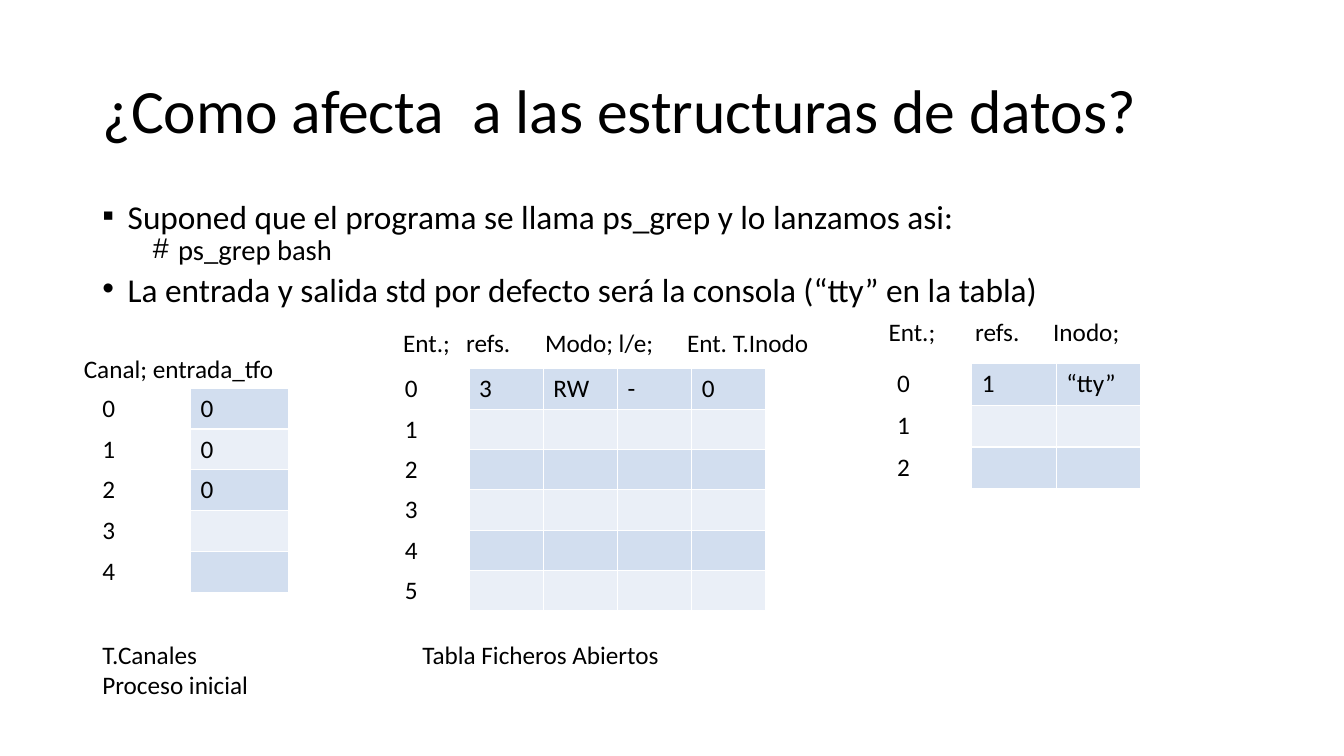
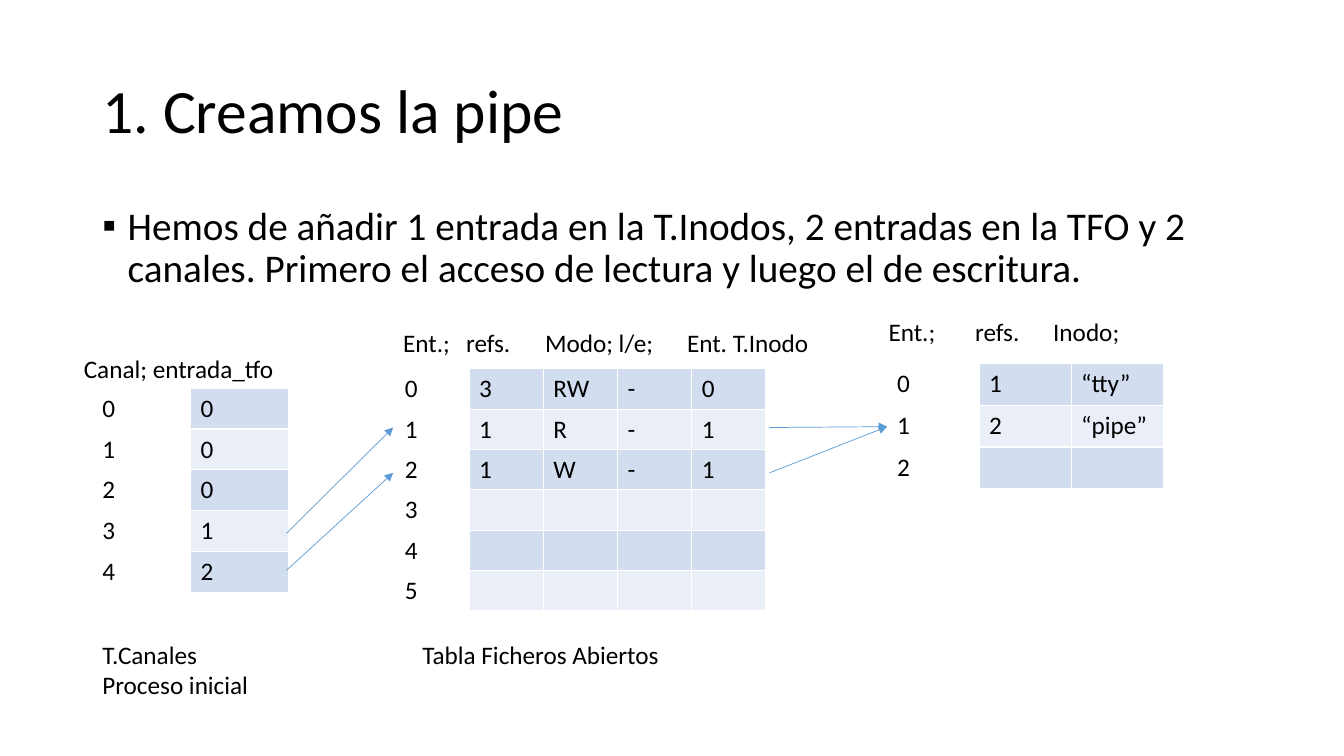
from lxml.etree import SubElement
from pptx import Presentation
from pptx.dml.color import RGBColor
from pptx.enum.shapes import MSO_CONNECTOR
from pptx.enum.text import MSO_ANCHOR, MSO_AUTO_SIZE, PP_ALIGN
from pptx.oxml.ns import qn
from pptx.util import Inches, Pt

GRID_COLUMNS, GRID_ROWS = 160, 90


def color(hex_string):
    """Turn a hex string into a colour."""
    return RGBColor.from_string(hex_string)


class Deck:
    """Holds the shared style and the current slide."""

    font = "Calibri"
    ink, arrow_ink = "000000", "5B9BD5"
    bands = "D2DEEF", "EAEFF7"

    def __init__(self):
        """Start an empty wide presentation."""
        self.presentation = Presentation()
        self.presentation.slide_width = Inches(13.33)
        self.presentation.slide_height = Inches(7.5)
        self.slide = None

    def across(self, columns):
        """Convert grid columns to a length."""
        return round(self.presentation.slide_width * columns / GRID_COLUMNS)

    def down(self, rows):
        """Convert grid rows to a length."""
        return round(self.presentation.slide_height * rows / GRID_ROWS)

    def box(self, left, top, width, height):
        """Convert a grid rectangle to lengths."""
        return self.across(left), self.down(top), self.across(width), self.down(height)

    def place(self, shape, *area):
        """Move a placeholder to a grid rectangle."""
        shape.left, shape.top, shape.width, shape.height = self.box(*area)

    def format(self, paragraph, size):
        """Give every run of a paragraph the shared font."""
        for run in paragraph.runs:
            run.font.name = self.font
            run.font.size = Pt(size)
            run.font.color.rgb = color(self.ink)

    def add_slide(self, title):
        """Open a slide and fill its title."""
        self.slide = self.presentation.slides.add_slide(self.presentation.slide_layouts[1])
        shape = self.slide.shapes.title
        self.place(shape, 11, 4.8, 138, 17.4)
        frame = shape.text_frame
        frame.text = title
        frame.auto_size = MSO_AUTO_SIZE.NONE
        frame.vertical_anchor = MSO_ANCHOR.MIDDLE
        paragraph = frame.paragraphs[0]
        paragraph.alignment = PP_ALIGN.LEFT
        paragraph.line_spacing = 0.9
        self.format(paragraph, 44)

    def add_body(self, items, line_spacing):
        """Fill the body with (bullet, level, size, text) items."""
        shape = self.slide.placeholders[1]
        self.place(shape, 11, 24, 138, 13.7)
        frame = shape.text_frame
        frame.text = "\n".join(item[-1] for item in items)
        frame.auto_size = MSO_AUTO_SIZE.NONE
        for paragraph, (bullet, level, size, _) in zip(frame.paragraphs, items):
            paragraph.level = level
            paragraph.line_spacing = line_spacing
            paragraph.space_before = Pt(5 if level else 10)
            self.format(paragraph, size)
            properties = paragraph._p.get_or_add_pPr()
            properties.set("marL", str(Inches(0.25 + 0.5 * level)))
            properties.set("indent", str(Inches(-0.25)))
            SubElement(properties, qn("a:buFont")).set("typeface", "Arial")
            SubElement(properties, qn("a:buChar")).set("char", bullet)

    def add_label(self, text, left, top, width, height=4.85, tabs=()):
        """Write a label, with tab stops given in grid columns."""
        frame = self.slide.shapes.add_textbox(*self.box(left, top, width, height)).text_frame
        frame.text = text
        frame.word_wrap = bool(tabs)
        paragraph = frame.paragraphs[0]
        self.format(paragraph, 18)
        if tabs:
            stops = SubElement(paragraph._p.get_or_add_pPr(), qn("a:tabLst"))
            for tab in tabs:
                stop = SubElement(stops, qn("a:tab"))
                stop.set("pos", str(self.across(tab)))
                stop.set("algn", "l")

    def add_entries(self, entries, size, left, top, column, row):
        """Draw a banded table whose first column numbers the entries."""
        rows, columns = size
        area = self.box(left, top, columns * column, rows * row)
        table = self.slide.shapes.add_table(rows, columns, *area).table
        table.first_row = table.horz_banding = False
        for index in range(rows):
            values = entries[index] if index < len(entries) else ()
            table.rows[index].height = self.down(row)
            for position, cell in enumerate(table.rows[index].cells):
                if position == 0:
                    cell.fill.background()
                    cell.text = str(index)
                else:
                    cell.fill.solid()
                    cell.fill.fore_color.rgb = color(self.bands[index % 2])
                    cell.text = values[position - 1] if values else ""
                self.format(cell.text_frame.paragraphs[0], 18)

    def add_arrow(self, start, end):
        """Draw a thin arrow between two grid points."""
        arrow = self.slide.shapes.add_connector(
            MSO_CONNECTOR.STRAIGHT,
            self.across(start[0]), self.down(start[1]),
            self.across(end[0]), self.down(end[1]),
        )
        arrow.line.color.rgb = color(self.arrow_ink)
        arrow.line.width = Pt(0.5)
        SubElement(arrow.line._get_or_add_ln(), qn("a:tailEnd")).set("type", "triangle")
        SubElement(arrow._element.spPr, qn("a:effectLst"))

    def add_system_tables(self, channels, files, inodes, inode_column):
        """Draw the channel, open file and inode tables with their labels."""
        self.add_entries(channels, (5, 2), 11, 46.2, 11.7, 4.87)
        self.add_label("Canal; entrada_tfo", 8.8, 41.5, 25.3)
        self.add_label("T.Canales\vProceso inicial", 11, 75.5, 19.9, 8.5)
        self.add_entries(files, (6, 5), 47, 43.9, 8.84, 4.8)
        self.add_label("Ent.;\trefs.\tModo; l/e;\tEnt. T.Inodo",
                       46.8, 38.4, 52.4, tabs=(7.5, 16.9, 33.8))
        self.add_label("Tabla Ficheros Abiertos", 49.1, 75.5, 30.8)
        self.add_entries(inodes, (3, 3), 105.6, 43.3, inode_column, 4.96)
        self.add_label("Ent.;\trefs.\tInodo;", 104.6, 37.1, 31.2, tabs=(10.3, 19.6))


def main():
    """Build both slides and save them."""
    deck = Deck()
    channels = ["0", "0", "0"]
    files = [("3", "RW", "-", "0")]
    inodes = [("1", "“tty”")]

    deck.add_slide("¿Como afecta  a las estructuras de datos?")
    deck.add_body([
        ("▪", 0, 23.8, "Suponed que el programa se llama ps_grep y lo lanzamos asi:"),
        ("#", 1, 20.4, "ps_grep bash"),
        ("•", 0, 23.8, "La entrada y salida std por defecto será la consola (“tty” en la tabla)"),
    ], 0.7)
    deck.add_system_tables(channels, files, inodes, 10.08)

    deck.add_slide("1. Creamos la pipe")
    deck.add_body([
        ("▪", 0, 28, "Hemos de añadir 1 entrada en la T.Inodos, 2 entradas en la TFO y 2 "
                     "canales. Primero el acceso de lectura y luego el de escritura."),
    ], 0.9)
    deck.add_system_tables(
        channels + ["1", "2"],
        files + [("1", "R", "-", "1"), ("1", "W", "-", "1")],
        inodes + [("2", "“pipe”")],
        10.96,
    )
    for channel_row, file_row in ((63.5, 50.9), (67.9, 56.3)):
        deck.add_arrow((34.1, channel_row), (46.8, file_row))
        deck.add_arrow((91.6, file_row), (105.6, 50.8))

    deck.presentation.save("out.pptx")


if __name__ == "__main__":
    main()
